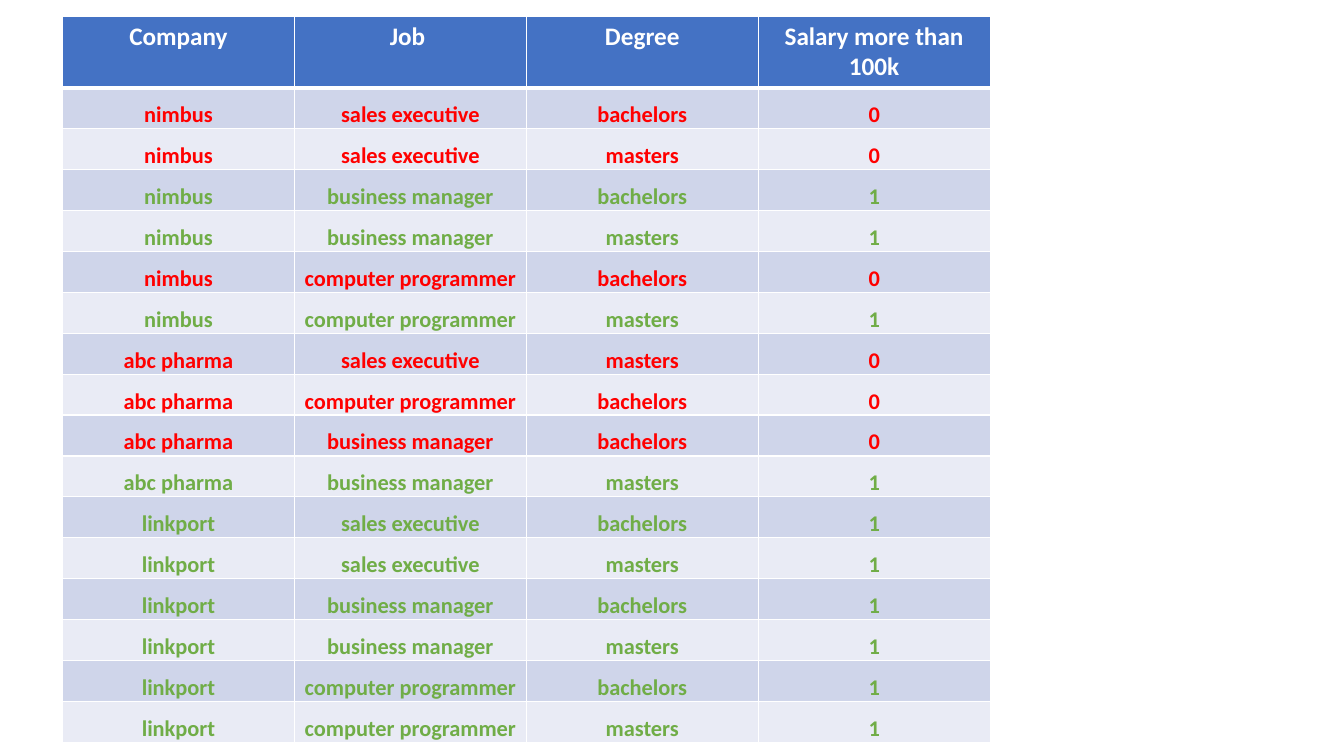
from pptx import Presentation
from pptx.dml.color import RGBColor as RGB
from pptx.enum.text import MSO_ANCHOR as ANCHOR, PP_ALIGN as ALIGN
from pptx.oxml import parse_xml
from pptx.oxml.ns import nsdecls
from pptx.util import Inches, Pt

WHITE = RGB(0xFF, 0xFF, 0xFF)
BLUE = RGB(0x44, 0x72, 0xC4)
BANDS = RGB(0xCF, 0xD5, 0xEA), RGB(0xE9, 0xEB, 0xF5)
RED = RGB(0xFF, 0x00, 0x00)
GREEN = RGB(0x70, 0xAD, 0x47)

HEADERS = ["Company", "Job ", "Degree", "Salary more than 100k"]
SALES, MANAGER, CODER = "sales executive", "business manager", "computer programmer"
BA, MA = "bachelors", "masters"
RECORDS = {
    "nimbus": [
        (SALES, BA, 0), (SALES, MA, 0), (MANAGER, BA, 1),
        (MANAGER, MA, 1), (CODER, BA, 0), (CODER, MA, 1),
    ],
    "abc pharma": [
        (SALES, MA, 0), (CODER, BA, 0), (MANAGER, BA, 0), (MANAGER, MA, 1),
    ],
    "linkport": [
        (job, degree, 1) for job in (SALES, MANAGER, CODER) for degree in (BA, MA)
    ],
}

COL_W = Inches(2.3)
ROW_H = Inches(6.5) // 16
HEAD_CELL = {}
DATA_CELL = {
    "vertical_anchor": ANCHOR.BOTTOM,
    "margin_left": Inches(0.01),
    "margin_top": Inches(0.01),
    "margin_right": Inches(0.01),
    "margin_bottom": 0,
}


def apply(obj, fmt):
    for name, value in fmt.items():
        setattr(obj, name, value)


def add_borders(cell, bottom):
    tcPr = cell._tc.get_or_add_tcPr()
    widths = {"lnL": 1, "lnR": 1, "lnT": 1, "lnB": bottom}
    for i, (tag, width) in enumerate(widths.items()):
        tcPr.insert(i, parse_xml(
            f'<a:{tag} {nsdecls("a")} w="{Pt(width)}"><a:solidFill>'
            f'<a:srgbClr val="{WHITE}"/></a:solidFill></a:{tag}>'
        ))


def fill_row(row, values, fill, color, size, fmt, bottom=1):
    for cell, value in zip(row.cells, values):
        apply(cell, fmt)
        cell.fill.solid()
        cell.fill.fore_color.rgb = fill
        add_borders(cell, bottom)
        p = cell.text_frame.paragraphs[0]
        p.alignment = ALIGN.CENTER
        r = p.add_run()
        r.text = str(value)
        apply(r.font, {"name": "Calibri", "size": Pt(size), "bold": True})
        r.font.color.rgb = color


def add_salary_table(slide, left, top):
    data = [(company, *rec) for company, recs in RECORDS.items() for rec in recs]
    n_rows, n_cols = len(data) + 1, len(HEADERS)
    table = slide.shapes.add_table(
        n_rows, n_cols, left, top, COL_W * n_cols, ROW_H * n_rows
    ).table
    head, *body = table.rows
    fill_row(head, HEADERS, BLUE, WHITE, 18, HEAD_CELL, bottom=3)
    for i, (row, values) in enumerate(zip(body, data)):
        color = GREEN if values[-1] else RED
        fill_row(row, values, BANDS[i % 2], color, 16, DATA_CELL)


def main():
    prs = Presentation()
    prs.slide_width, prs.slide_height = Inches(13.33), Inches(7.5)
    slide = prs.slides.add_slide(prs.slide_layouts[6])
    add_salary_table(slide, Inches(0.62), Inches(0.16))
    prs.save("out.pptx")


main()
